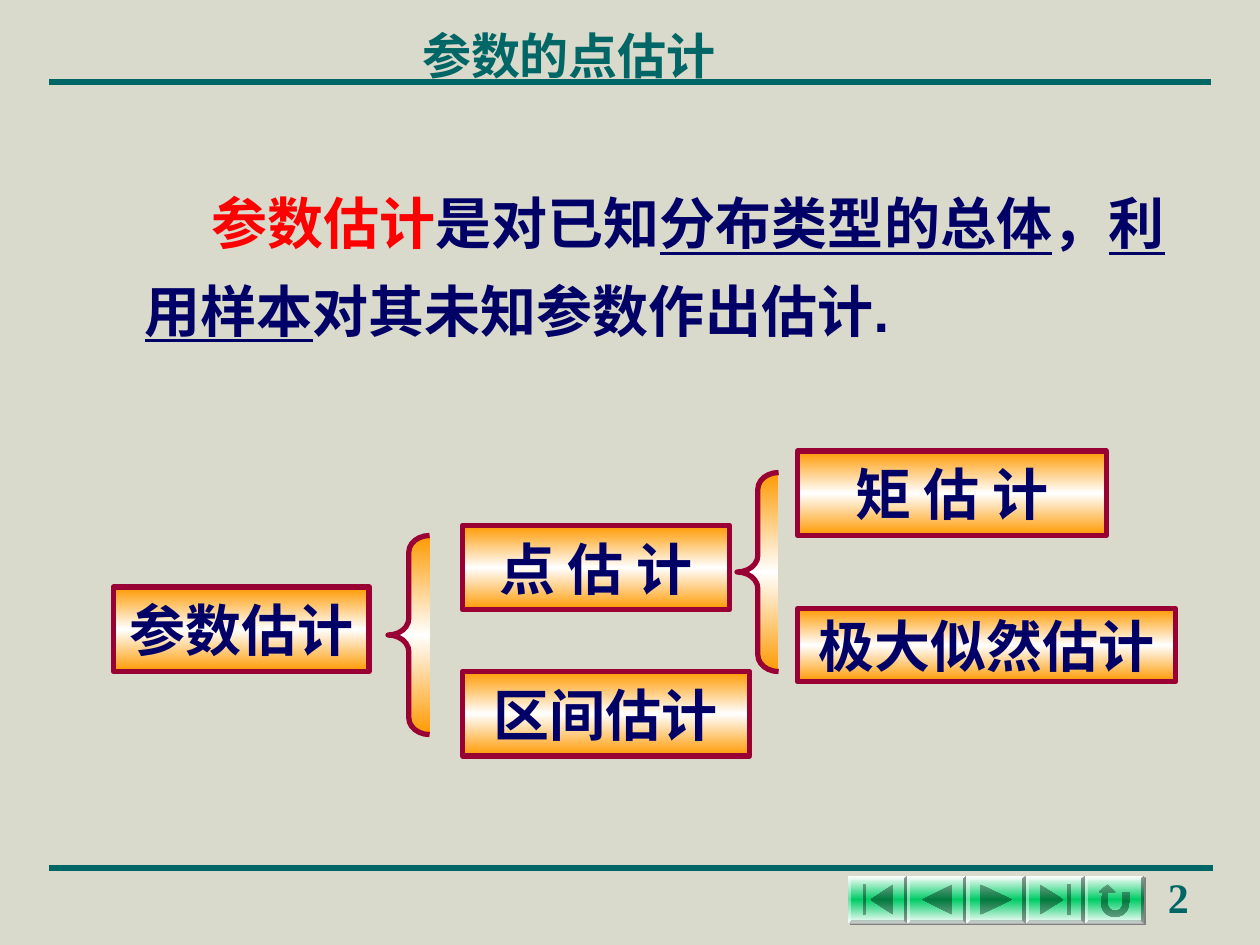
from math import cos, radians, sin

from lxml.etree import SubElement
from pptx import Presentation
from pptx.dml.color import RGBColor
from pptx.enum.shapes import MSO_CONNECTOR as CONNECTOR, MSO_SHAPE as SHAPE
from pptx.enum.text import MSO_ANCHOR as ANCHOR, MSO_AUTO_SIZE as AUTO_SIZE, PP_ALIGN as ALIGN
from pptx.oxml import parse_xml
from pptx.oxml.ns import nsdecls, qn
from pptx.util import Inches, Pt

COLORS = {
    "background": "DADACC", "teal": "006666", "navy": "000066", "red": "FF0000",
    "maroon": "990033", "orange": "FF9900", "white": "FFFFFF", "green": "00CC66",
    "icon_edge": "639D80", "icon_middle": "007A3D", "shadow": "808080",
}
CJK_FONT = "Noto Sans CJK SC"

TITLE = "参数的点估计"
PAGE_NUMBER = "2"
DEFINITION = [  # text, colour, underlined
    ("参数估计", "red", False),
    ("是对已知", "navy", False),
    ("分布类型的总体", "navy", True),
    ("，", "navy", False),
    ("利用样本", "navy", True),
    ("对其未知参数作出估计.", "navy", False),
]
TREE_BOXES = [  # text, left, top, width, height
    ("参数估计", 0.9, 4.66, 2.03, 0.67),
    ("点 估 计", 3.67, 4.17, 2.12, 0.67),
    ("区间估计", 3.67, 5.33, 2.28, 0.67),
    ("矩 估 计", 6.33, 3.58, 2.45, 0.67),
    ("极大似然估计", 6.33, 4.83, 3, 0.58),
]
BRACES = [(3.08, 4.25), (5.85, 3.75)]
BRACE_SIZE = (0.33, 1.58)
RULES = [(0.65, 9.61), (6.89, 9.63)]  # height on the slide, right end
RULE_LEFT = 0.39

BUTTON_LEFT, BUTTON_TOP = 6.73, 6.95
BUTTON_WIDTH, BUTTON_HEIGHT = 0.47, 0.38


def arc(radius, start, end):
    """Points of the return arrow's bend, in degrees."""
    step = 15 if end > start else -15
    return [(0.24 + radius * cos(radians(a)), 0.22 + radius * sin(radians(a)))
            for a in range(start, end + step, step)]


RETURN_ARROW = [(0.36, 0.13), (0.3, 0.13), *arc(0.06, 0, 180), (0.18, 0.13),
                (0.24, 0.13), (0.18, 0.07), (0.11, 0.13), (0.14, 0.13),
                *arc(0.11, 180, 0)]
BUTTON_ICONS = [  # outlines measured from the button's corner
    [[(0.18, 0.19), (0.36, 0.31), (0.36, 0.07)],
     [(0.12, 0.07), (0.14, 0.07), (0.14, 0.31), (0.12, 0.31)]],
    [[(0.36, 0.07), (0.12, 0.19), (0.36, 0.31)]],
    [[(0.36, 0.19), (0.11, 0.07), (0.11, 0.31)]],
    [[(0.3, 0.19), (0.11, 0.07), (0.11, 0.31)],
     [(0.33, 0.07), (0.36, 0.07), (0.36, 0.31), (0.33, 0.31)]],
    [RETURN_ARROW],
]


def color(name):
    return RGBColor.from_string(COLORS[name])


def style_shape(shape, edge, middle, outline=None):
    """Vertical gradient edge-middle-edge, with an outline or none."""
    shape.shadow.inherit = False
    if outline:
        shape.line.color.rgb = color(outline)
        shape.line.width = Pt(3)
    else:
        shape.line.fill.background()
    stops = "".join(
        f'<a:gs pos="{position}"><a:srgbClr val="{COLORS[name]}"/></a:gs>'
        for position, name in ((0, edge), (50000, middle), (100000, edge)))
    gradient = parse_xml(
        f'<a:gradFill {nsdecls("a")} rotWithShape="1"><a:gsLst>{stops}</a:gsLst>'
        '<a:lin ang="5400000" scaled="0"/></a:gradFill>')
    properties = shape.element.spPr
    properties.find(qn("a:ln")).addprevious(gradient)


def add_run(paragraph, text, size, font, color_name, underline=False):
    run = paragraph.add_run()
    run.text = text
    run.font.size = Pt(size)
    run.font.bold = True
    run.font.name = font
    run.font.color.rgb = color(color_name)
    if underline:
        run.font.underline = True
    SubElement(run.font._element, qn("a:ea")).set("typeface", CJK_FONT)


def add_text_box(slide, *bounds):
    frame = slide.shapes.add_textbox(*map(Inches, bounds)).text_frame
    frame.word_wrap = True
    return frame


def add_rule(slide, top, right):
    rule = slide.shapes.add_connector(
        CONNECTOR.STRAIGHT, Inches(RULE_LEFT), Inches(top), Inches(right), Inches(top))
    rule.line.color.rgb = color("teal")
    rule.line.width = Pt(3)
    SubElement(rule.element.spPr, qn("a:effectLst"))


def add_button(slide, left, icon):
    button = slide.shapes.add_shape(
        SHAPE.BEVEL, *map(Inches, (left, BUTTON_TOP, BUTTON_WIDTH, BUTTON_HEIGHT)))
    button.adjustments[0] = 0.07
    style_shape(button, "white", "green")
    shadow = SubElement(button.element.spPr.find(qn("a:effectLst")), qn("a:outerShdw"),
                        dist=str(Pt(1.4)), dir="2700000")
    SubElement(shadow, qn("a:srgbClr"), val=COLORS["shadow"])
    for outline in icon:
        points = [(Inches(left + x), Inches(BUTTON_TOP + y)) for x, y in outline]
        builder = slide.shapes.build_freeform(*points[0])
        builder.add_line_segments(points[1:], close=True)
        style_shape(builder.convert_to_shape(), "icon_edge", "icon_middle")


def add_tree_box(slide, text, *bounds):
    box = slide.shapes.add_shape(SHAPE.RECTANGLE, *map(Inches, bounds))
    style_shape(box, "orange", "white", "maroon")
    frame = box.text_frame
    frame.word_wrap = False
    frame.vertical_anchor = ANCHOR.MIDDLE
    paragraph = frame.paragraphs[0]
    paragraph.alignment = ALIGN.CENTER
    add_run(paragraph, text, 32, CJK_FONT, "navy")


def main():
    presentation = Presentation()
    presentation.slide_width, presentation.slide_height = Inches(10), Inches(7.5)
    slide = presentation.slides.add_slide(presentation.slide_layouts[6])
    slide.background.fill.solid()
    slide.background.fill.fore_color.rgb = color("background")

    for rule in RULES:
        add_rule(slide, *rule)
    for index, icon in enumerate(BUTTON_ICONS):
        add_button(slide, BUTTON_LEFT + index * BUTTON_WIDTH, icon)

    number = add_text_box(slide, 9.17, 6.87, 0.79, 0.5)
    add_run(number.paragraphs[0], PAGE_NUMBER, 24, "Times New Roman", "teal")

    title = add_text_box(slide, 1.14, 0.06, 6.75, 0.62)
    title.margin_bottom = Inches(0.01)
    title.auto_size = AUTO_SIZE.SHAPE_TO_FIT_TEXT
    heading = title.paragraphs[0]
    heading.alignment = ALIGN.CENTER
    heading.line_spacing = 1.2
    add_run(heading, TITLE, 28, "Times New Roman", "teal")

    definition = add_text_box(slide, 0.67, 1.29, 8.76, 1.67).paragraphs[0]
    definition.line_spacing = 1.3
    indents = definition._p.get_or_add_pPr()
    indents.set("marL", str(Inches(0.38)))
    indents.set("indent", str(Inches(0.53)))
    for text, color_name, underline in DEFINITION:
        add_run(definition, text, 32, "Arial", color_name, underline)

    for box in TREE_BOXES:
        add_tree_box(slide, *box)
    for corner in BRACES:
        brace = slide.shapes.add_shape(SHAPE.LEFT_BRACE, *map(Inches, corner + BRACE_SIZE))
        brace.adjustments[0] = 0.4
        style_shape(brace, "orange", "white", "maroon")

    presentation.save("out.pptx")


if __name__ == "__main__":
    main()
